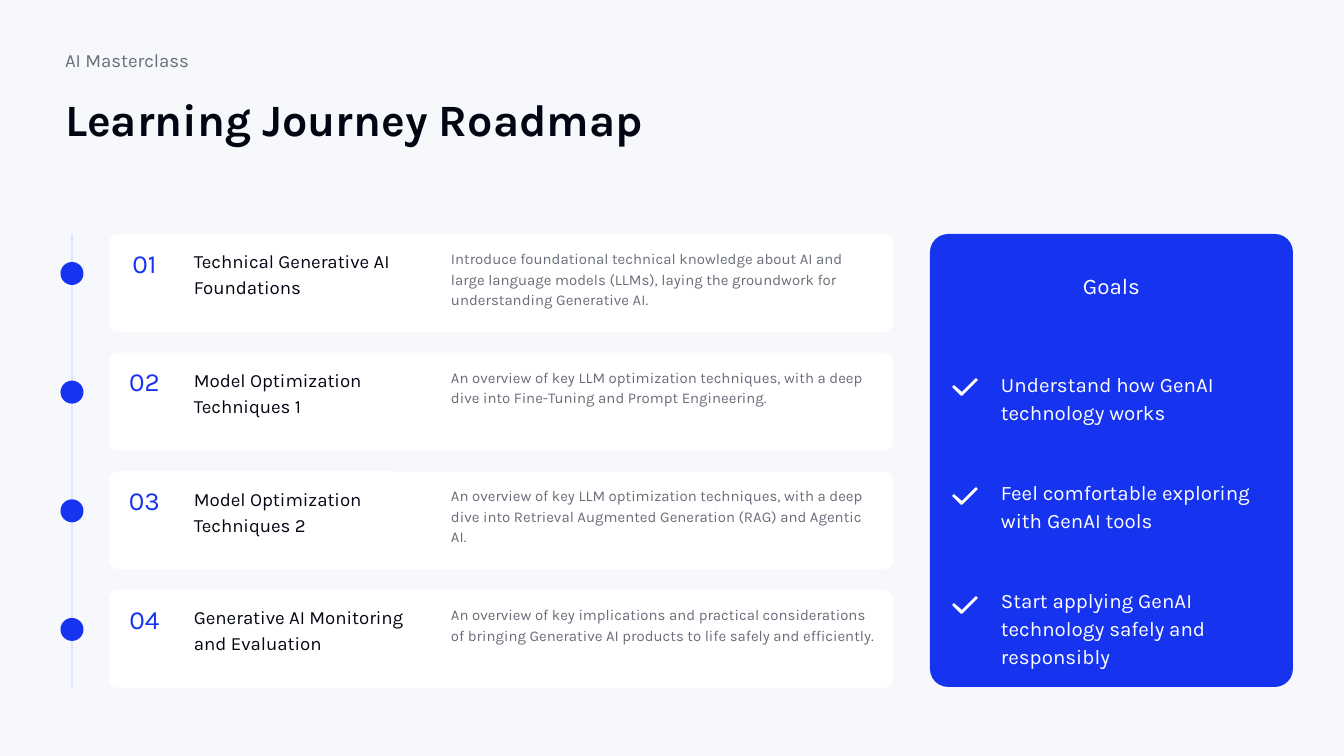
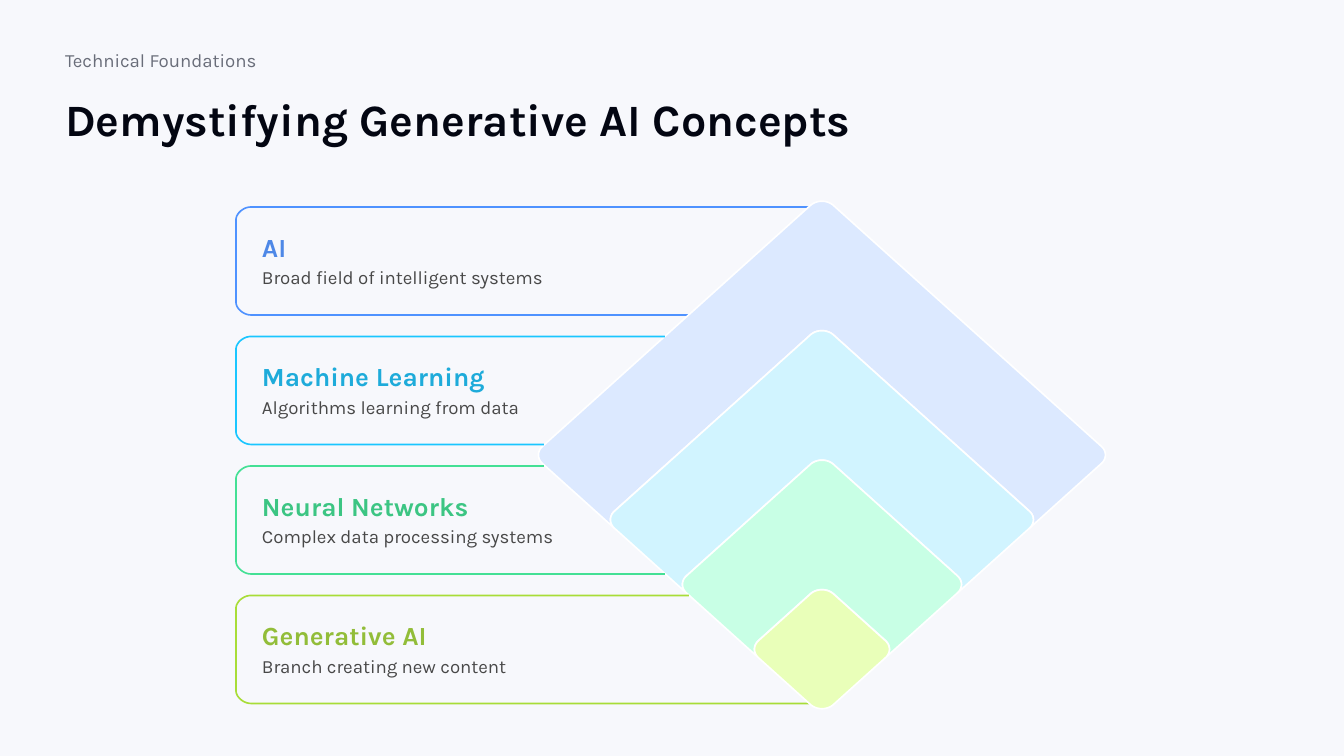
from dataclasses import dataclass

from lxml import etree
from pptx import Presentation
from pptx.dml.color import RGBColor
from pptx.enum import shapes, text
from pptx.oxml.ns import qn
from pptx.util import Emu, Pt

# ---------- Content ----------
ROADMAP = {
    "kicker": "AI Masterclass",
    "title": "Learning Journey Roadmap",
    "modules": [
        ("Technical Generative AI Foundations",
         "Introduce foundational technical knowledge about AI and large language models (LLMs), "
         "laying the groundwork for understanding Generative AI."),
        ("Model Optimization Techniques 1",
         "An overview of key LLM optimization techniques, with a deep dive into Fine-Tuning "
         "and Prompt Engineering."),
        ("Model Optimization Techniques 2",
         "An overview of key LLM optimization techniques, with a deep dive into Retrieval "
         "Augmented Generation (RAG) and Agentic AI."),
        ("Generative AI Monitoring and Evaluation",
         "An overview of key implications and practical considerations of bringing Generative AI "
         "products to life safely and efficiently."),
    ],
    "goals_heading": "Goals",
    "goals": [
        "Understand how GenAI technology works",
        "Feel comfortable exploring with GenAI tools",
        "Start applying GenAI technology safely and responsibly",
    ],
}
CONCEPTS = {
    "kicker": "Technical Foundations",
    "title": "Demystifying Generative AI Concepts",
    # name, description, text colour, bracket colour, diamond colour, bracket ends (top, bottom)
    "tiers": [
        ("AI", "Broad field of intelligent systems", "4E88E7", "4F92FF", "DCE9FF", (810, 689)),
        ("Machine Learning", "Algorithms learning from data", "1EABDA", "1AC6FF", "D1F4FF", (665, 544)),
        ("Neural Networks", "Complex data processing systems", "3CC583", "44E095", "C8FFE5", (544, 665)),
        ("Generative AI", "Branch creating new content", "92BD39", "A8DD38", "E9FFB9", (689, 810)),
    ],
}


# ---------- Theme ----------
@dataclass(frozen=True)
class Theme:
    font: str = "Karla"
    background: str = "F7F8FC"
    ink: str = "030612"
    muted: str = "696D79"
    caption: str = "484848"
    accent: str = "1634EF"
    rail: str = "E0E2FF"
    white: str = "FFFFFF"
    title_size: int = 24
    number_size: int = 14
    heading_size: int = 12
    goal_size: int = 11
    label_size: int = 10
    body_size: int = 8
    hairline: float = 0.75
    outline: float = 0.89


THEME = Theme()
EMU_PER_PX = 914400 / 134.4
PAGE_SIZE = (1344, 756)
INSET = 13


def px(length):
    return Emu(round(length * EMU_PER_PX))


def rgb(value):
    return RGBColor.from_string(value)


# ---------- Shared helpers ----------
def write(box, words, size, color, bold=False, align=text.PP_ALIGN.LEFT, spacing=None,
          after=0, anchor=text.MSO_ANCHOR.TOP, inset=INSET, wrap=True):
    frame = box.text_frame
    frame.auto_size = text.MSO_AUTO_SIZE.NONE
    frame.word_wrap = wrap
    frame.vertical_anchor = anchor
    frame.margin_left = frame.margin_right = px(inset)
    frame.margin_top = frame.margin_bottom = px(inset)
    para = frame.paragraphs[0]
    para.alignment = align
    para.space_before, para.space_after = Pt(0), Pt(after)
    if spacing:
        para.line_spacing = spacing
    span = para.add_run()
    span.text = words
    span.font.name = THEME.font
    span.font.size = Pt(size)
    span.font.bold = bold
    span.font.color.rgb = rgb(color)


def add_text(page, area, words, size, color, **style):
    box = page.shapes.add_textbox(*map(px, area))
    write(box, words, size, color, **style)


def paint(shape, fill=None, line=None, width=THEME.outline):
    shape.shadow.inherit = False
    if fill:
        shape.fill.solid()
        shape.fill.fore_color.rgb = rgb(fill)
    else:
        shape.fill.background()
    if line:
        shape.line.color.rgb = rgb(line)
        shape.line.width = Pt(width)
    else:
        shape.line.fill.background()


def add_block(page, kind, area, fill, radius=None):
    block = page.shapes.add_shape(kind, *map(px, area))
    if radius is not None:
        block.adjustments[0] = radius
    paint(block, fill)


def add_outline(page, points, close=True, **colors):
    spots = [(px(x), px(y)) for x, y in points]
    builder = page.shapes.build_freeform(*spots[0], scale=1.0)
    builder.add_line_segments(spots[1:], close=close)
    paint(builder.convert_to_shape(), **colors)


def curve(*controls, steps=10):
    """Points along a cubic curve with four control points."""
    points = []
    for step in range(steps + 1):
        t = step / steps
        weights = ((1 - t) ** 3, 3 * t * (1 - t) ** 2, 3 * t * t * (1 - t), t ** 3)
        points.append(tuple(sum(w * c[axis] for w, c in zip(weights, controls))
                            for axis in (0, 1)))
    return points


def new_page(deck, content):
    page = deck.slides.add_slide(deck.slide_layouts.get_by_name("Title Only"))
    title = page.shapes.title
    title.left, title.top, title.width, title.height = map(px, (52, 79, 1241, 121))
    write(title, content["title"], THEME.title_size, THEME.ink, bold=True)
    add_text(page, (52, 42, 317, 37), content["kicker"], THEME.label_size, THEME.muted,
             anchor=text.MSO_ANCHOR.MIDDLE)
    return page


# ---------- Roadmap ----------
ROW_TOP, ROW_HEIGHT, ROW_PITCH = 234, 98, 356 / 3
RAIL_X, RAIL_BOTTOM, DOT = 72, 688, 23
CARD_LEFT, CARD_WIDTH = 109, 784
PANEL = (930, ROW_TOP, 363, 453)
CHECK_MARK = [(24, 1), (23, 0), (9, 14), (1, 7), (0, 8), (8, 16), (9, 16)]


def build_roadmap(deck):
    page = new_page(deck, ROADMAP)
    kinds = shapes.MSO_SHAPE

    # Timeline rail
    rail = page.shapes.add_connector(shapes.MSO_CONNECTOR.STRAIGHT, px(RAIL_X), px(ROW_TOP),
                                     px(RAIL_X), px(RAIL_BOTTOM))
    rail.line.color.rgb = rgb(THEME.rail)
    rail.line.width = Pt(THEME.hairline)
    etree.SubElement(rail._element.spPr, qn("a:effectLst"))

    # Module cards
    for index, (name, summary) in enumerate(ROADMAP["modules"]):
        top = ROW_TOP + ROW_PITCH * index
        add_block(page, kinds.OVAL, (RAIL_X - DOT / 2, top + 28, DOT, DOT), THEME.accent)
        add_block(page, kinds.ROUNDED_RECTANGLE, (CARD_LEFT, top, CARD_WIDTH, ROW_HEIGHT),
                  THEME.white, 0.09)
        add_text(page, (CARD_LEFT, top, 71, ROW_HEIGHT), f"{index + 1:02}",
                 THEME.number_size, THEME.accent, align=text.PP_ALIGN.CENTER)
        add_text(page, (181, top, 258, ROW_HEIGHT), name, THEME.label_size, THEME.ink,
                 spacing=1.15)
        add_text(page, (438, top, 454, ROW_HEIGHT), summary, THEME.body_size, THEME.muted,
                 spacing=1.15, after=12)

    # Goals panel
    add_block(page, kinds.ROUNDED_RECTANGLE, PANEL, THEME.accent, 0.05)
    add_text(page, (PANEL[0], 255, PANEL[2], 77), ROADMAP["goals_heading"],
             THEME.heading_size, THEME.white, align=text.PP_ALIGN.CENTER, spacing=1.15)
    for index, goal in enumerate(ROADMAP["goals"]):
        mark = [(953 + x, 379 + 109 * index + y) for x, y in CHECK_MARK]
        add_outline(page, mark, fill=THEME.white, line=THEME.white, width=THEME.hairline)
        add_text(page, (988, 355 + 108 * index, 292, ROW_HEIGHT), goal, THEME.goal_size,
                 THEME.white, spacing=1.15)


# ---------- Nested concepts ----------
CENTER_X, APEX_TOP, BASE_BOTTOM, TIER_PITCH = 822, 200, 710, 129.5
HALF_WIDTH, HALF_STEP = 285, 72
BRACKET_LEFT, BRACKET_TOP, BRACKET_HEIGHT = 236, 207, 108
BEND_X, BEND_Y = 15, 13


def tip(y, inward):
    """Rounded top or bottom corner, left to right."""
    return curve((CENTER_X - 11, y + 5 * inward), (CENTER_X - 5, y),
                 (CENTER_X + 5, y), (CENTER_X + 11, y + 5 * inward))


def side(x, y, inward):
    """Rounded left or right corner, top to bottom."""
    return curve((x + 6 * inward, y - 9), (x, y - 4), (x, y + 4), (x + 6 * inward, y + 9))


def roof(index):
    """Left corner, apex and right corner of one diamond."""
    top = APEX_TOP + TIER_PITCH * index
    middle = (top + BASE_BOTTOM) / 2
    half = HALF_WIDTH - HALF_STEP * index
    return (side(CENTER_X - half, middle, 1)[::-1] + tip(top, 1)
            + side(CENTER_X + half, middle, -1))


def bracket(top, ends):
    left, bottom = BRACKET_LEFT, top + BRACKET_HEIGHT
    upper = curve((left, top + BEND_Y), (left, top + BEND_Y / 2),
                  (left + BEND_X / 2, top), (left + BEND_X, top))
    lower = [(x, top + bottom - y) for x, y in reversed(upper)]
    return [(ends[1], bottom)] + lower + upper + [(ends[0], top)]


def build_concepts(deck):
    page = new_page(deck, CONCEPTS)
    tiers = CONCEPTS["tiers"]
    for index, (name, summary, ink, edge, fill, ends) in enumerate(tiers):
        drop = TIER_PITCH * index
        add_outline(page, bracket(BRACKET_TOP + drop, ends), close=False, line=edge)
        # Each diamond is cut out where the next one starts
        is_last = index == len(tiers) - 1
        inner = tip(BASE_BOTTOM, -1) if is_last else roof(index + 1)
        add_outline(page, roof(index) + inner[::-1], fill=fill, line=THEME.white)
        add_text(page, (262, 231 + drop, 226, 32), name, THEME.number_size, ink,
                 bold=True, inset=0, wrap=False)
        add_text(page, (262, 266 + drop, 302, 23), summary, THEME.label_size,
                 THEME.caption, inset=0, wrap=False)


def main():
    deck = Presentation()
    deck.slide_width, deck.slide_height = map(px, PAGE_SIZE)
    backdrop = deck.slide_master.background.fill
    backdrop.solid()
    backdrop.fore_color.rgb = rgb(THEME.background)
    build_roadmap(deck)
    build_concepts(deck)
    deck.save("out.pptx")


if __name__ == "__main__":
    main()
